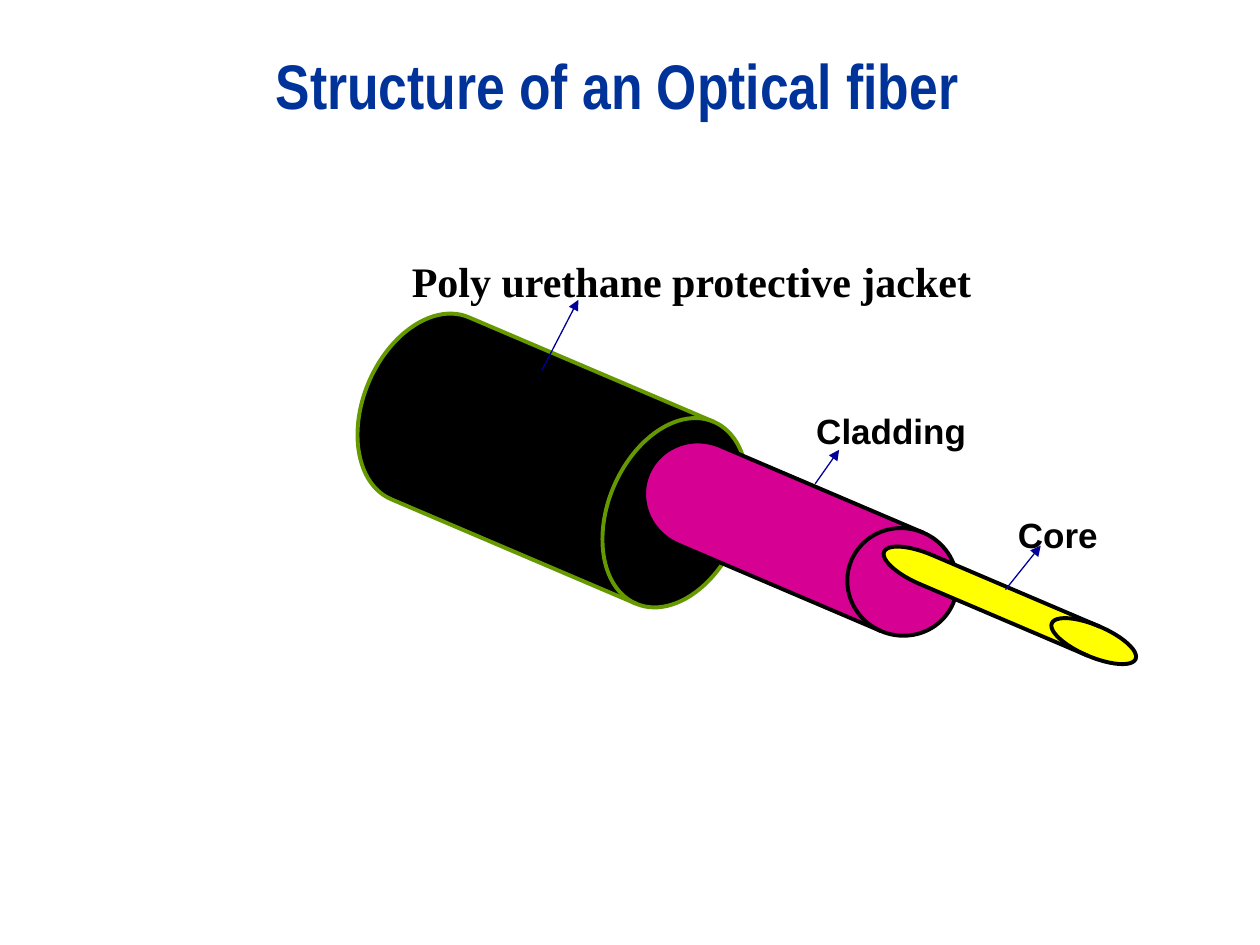
from lxml.etree import SubElement
from pptx import Presentation
from pptx.dml.color import RGBColor
from pptx.enum.shapes import MSO_CONNECTOR, MSO_SHAPE
from pptx.enum.text import MSO_ANCHOR, MSO_AUTO_SIZE
from pptx.oxml.ns import qn
from pptx.util import Inches, Pt

COLORS = {
    "title": "003399",
    "black": "000000",
    "jacket_edge": "669900",
    "cladding": "D60093",
    "core": "FFFF00",
    "arrow": "000099",
}
TILT = 23.1


def rgb(name):
    """Return the named colour."""
    return RGBColor.from_string(COLORS[name])


def add_text(s, text, box, size, font, color="black", wrap=False):
    """Add a bold one-line text box and return its text frame."""
    tf = s.shapes.add_textbox(*map(Inches, box)).text_frame
    tf.word_wrap = wrap
    tf.auto_size = MSO_AUTO_SIZE.NONE if wrap else MSO_AUTO_SIZE.SHAPE_TO_FIT_TEXT
    tf.text = text
    r = tf.paragraphs[0].runs[0]
    r.font.name = font
    r.font.size = Pt(size)
    r.font.bold = True
    r.font.color.rgb = rgb(color)
    return tf


def add_layer(s, box, fill, edge):
    """Add one tilted cylinder of the fiber."""
    sp = s.shapes.add_shape(MSO_SHAPE.FLOWCHART_DIRECT_ACCESS_STORAGE, *map(Inches, box))
    sp.rotation = TILT
    sp.shadow.inherit = False
    sp.fill.solid()
    sp.fill.fore_color.rgb = rgb(fill)
    sp.line.color.rgb = rgb(edge)
    sp.line.width = Pt(2.25)


def add_arrow(s, points):
    """Add a thin arrow from a layer to its label."""
    c = s.shapes.add_connector(MSO_CONNECTOR.STRAIGHT, *map(Inches, points))
    c.line.color.rgb = rgb("arrow")
    c.line.width = Pt(0.75)
    SubElement(c.line._get_or_add_ln(), qn("a:tailEnd"), type="triangle")
    SubElement(c._element.spPr, qn("a:effectLst"))


def main():
    """Build the slide on the structure of an optical fiber."""
    prs = Presentation()
    prs.slide_width, prs.slide_height = Inches(10), Inches(7.5)
    s = prs.slides.add_slide(prs.slide_layouts[6])

    title = add_text(s, "Structure of an Optical fiber", (2.09, 0.19, 6.85, 0.95),
                     36, "Arial Narrow", "title", wrap=True)
    title.vertical_anchor = MSO_ANCHOR.MIDDLE

    for box, fill, edge in (
        ((2.8, 2.87, 3.17, 1.57), "black", "jacket_edge"),
        ((5.04, 3.85, 2.63, 0.85), "cladding", "black"),
        ((6.93, 4.68, 2.17, 0.25), "core", "black"),
    ):
        add_layer(s, box, fill, edge)

    for text, box, size, font, arrow in (
        ("Poly urethane protective jacket", (3.17, 1.98, 4.82, 0.42), 24,
         "Times New Roman", (4.3, 2.94, 4.59, 2.38)),
        ("Cladding", (6.38, 3.2, 1.57, 0.36), 20, "Arial", (6.47, 3.84, 6.66, 3.57)),
        ("Core", (7.98, 4.03, 0.94, 0.36), 20, "Arial", (7.98, 4.68, 8.26, 4.33)),
    ):
        add_text(s, text, box, size, font)
        add_arrow(s, arrow)

    prs.save("out.pptx")


if __name__ == "__main__":
    main()
